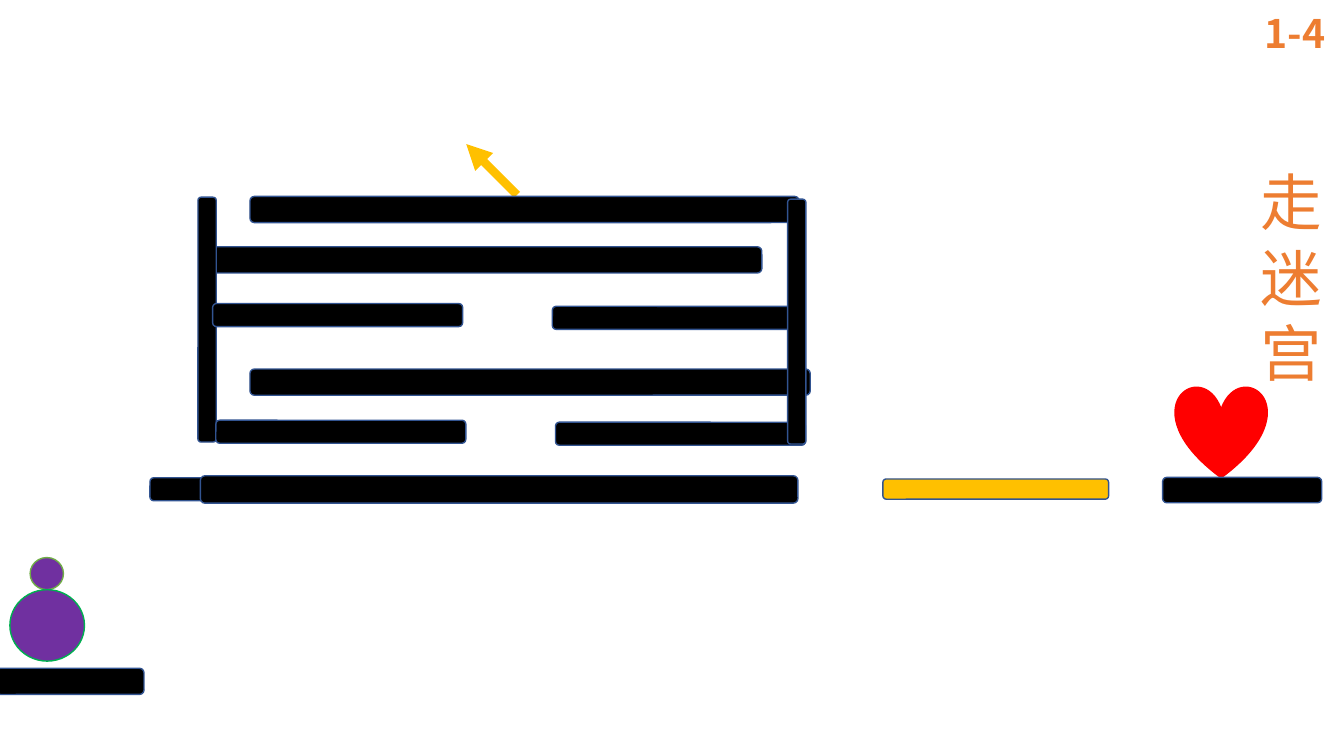
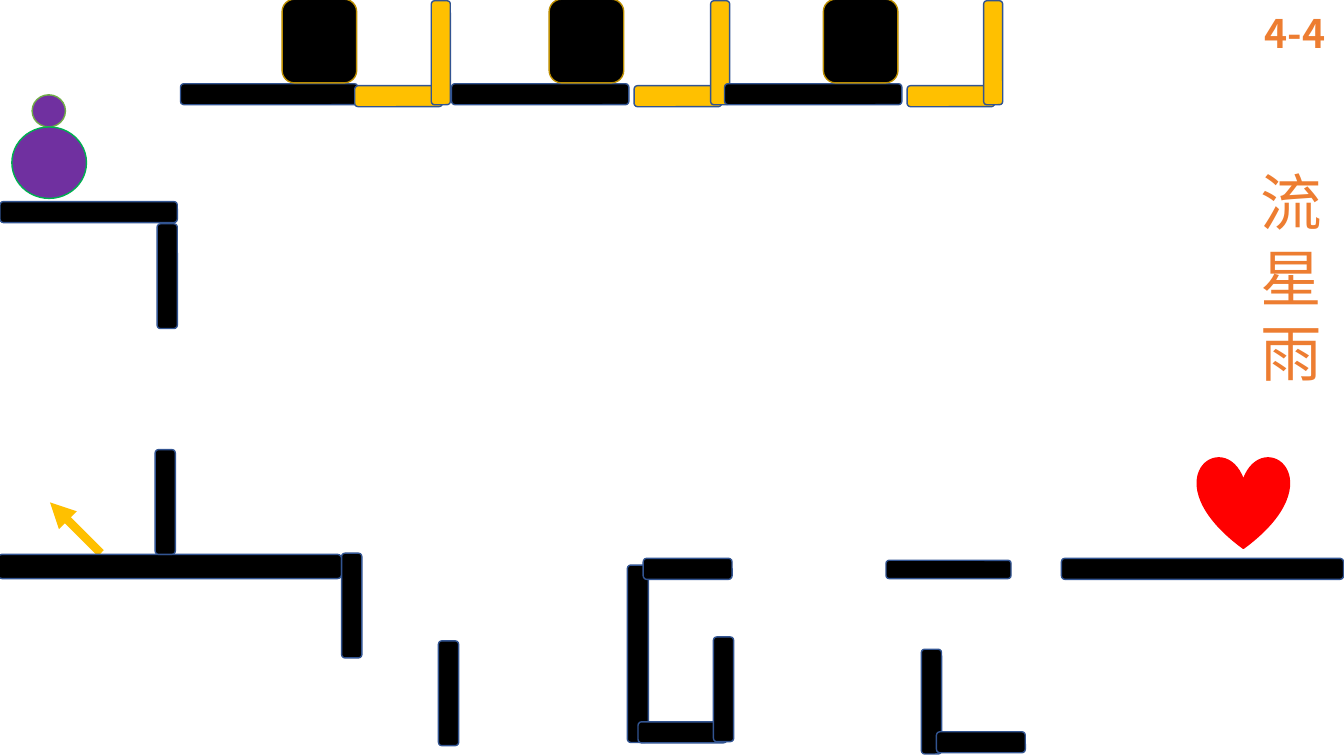
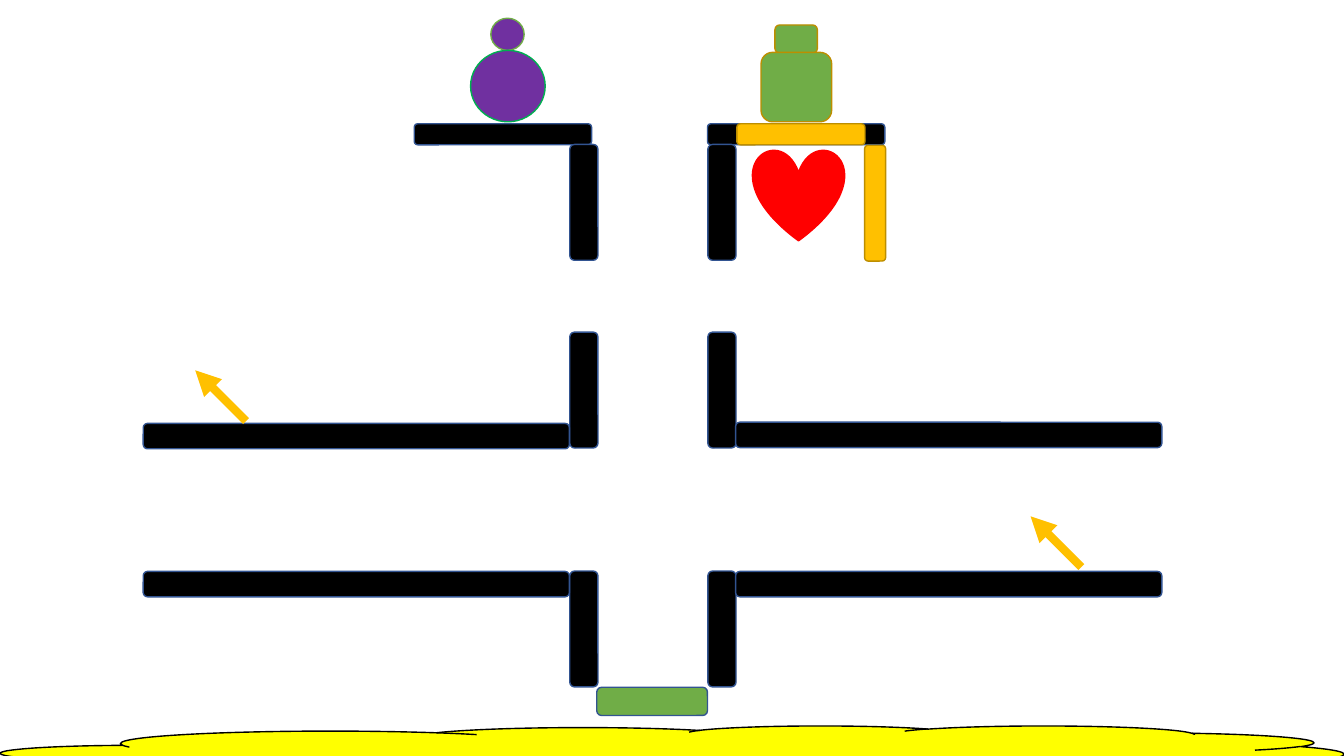
from lxml.etree import SubElement
from pptx import Presentation
from pptx.dml.color import RGBColor
from pptx.enum.shapes import MSO_CONNECTOR, MSO_SHAPE as Preset
from pptx.enum.text import MSO_ANCHOR, MSO_AUTO_SIZE, PP_ALIGN
from pptx.oxml.ns import qn
from pptx.util import Cm, Pt

# Shared look
FONT = "Noto Sans CJK JP"
BLACK, NAVY, GOLD, DARK_GOLD = "000000", "325491", "FFC000", "BD8E00"
PURPLE, GREEN, EMERALD = "7030A0", "70AD47", "00B050"
RED, YELLOW, ORANGE = "FF0000", "FFFF00", "ED7D31"
TITLE_ONLY, BLANK = 5, 6
FRAME_FORMAT = {
    "word_wrap": True,
    "auto_size": MSO_AUTO_SIZE.SHAPE_TO_FIT_TEXT,
    "vertical_anchor": MSO_ANCHOR.TOP,
    "margin_left": Cm(0.25),
    "margin_right": Cm(0.25),
    "margin_top": Cm(0.22),
    "margin_bottom": Cm(0.13),
}
NAME_FORMAT = {"size": Pt(44), "bold": False}
NUMBER_FORMAT = {"size": Pt(28), "bold": True}


def paint(color_format, hex_color):
    color_format.rgb = RGBColor.from_string(hex_color)


def apply_format(target, values):
    for attribute, value in values.items():
        setattr(target, attribute, value)


# Element kinds; every box is (left, top, width, height) in cm
def draw(shapes, preset, box, fill, outline):
    piece = shapes.add_shape(preset, *map(Cm, box))
    piece.shadow.inherit = False
    piece.fill.solid()
    paint(piece.fill.fore_color, fill)
    piece.line.width = Pt(1)
    paint(piece.line.color, outline)


def bar(shapes, box, fill=BLACK, outline=NAVY):
    draw(shapes, Preset.ROUNDED_RECTANGLE, box, fill, outline)


def bars(shapes, corners, width, height):
    for left, top in corners:
        bar(shapes, (left, top, width, height))


def player(shapes, left, top):
    parts = shapes.add_group_shape().shapes
    draw(parts, Preset.OVAL, (left + 0.51, top, 0.84, 0.81), PURPLE, GREEN)
    draw(parts, Preset.OVAL, (left, top + 0.81, 1.88, 1.8), PURPLE, EMERALD)


def heart(shapes, left, top):
    draw(shapes, Preset.HEART, (left, top, 2.31, 2.31), RED, RED)


def arrow(shapes, x, y, reach=1.28):
    ends = map(Cm, (x, y, x - reach, y - reach))
    pointer = shapes.add_connector(MSO_CONNECTOR.STRAIGHT, *ends)
    pointer.line.width = Pt(6)
    paint(pointer.line.color, GOLD)
    SubElement(pointer.line._get_or_add_ln(), qn("a:tailEnd"), type="triangle")
    SubElement(pointer._element.spPr, qn("a:effectLst"))


def gate(shapes, left):
    parts = shapes.add_group_shape().shapes
    bar(parts, (left, 2.16, 2.21, 0.53), GOLD)
    bar(parts, (left + 1.93, 0.02, 0.48, 2.62), GOLD)


def write(label, text, text_format):
    frame = label.text_frame
    apply_format(frame, FRAME_FORMAT)
    frame.text = text
    line = frame.paragraphs[0]
    line.alignment = PP_ALIGN.LEFT
    line.line_spacing = Pt(round(text_format["size"].pt * 1.22, 1))
    font = line.runs[0].font
    apply_format(font, {"name": FONT, **text_format})
    paint(font.color, ORANGE)
    SubElement(line.runs[0]._r.get_or_add_rPr(), qn("a:ea"), typeface=FONT)


def level_slide(deck, number, name):
    slide = deck.slides.add_slide(deck.slide_layouts[TITLE_ONLY])
    title = slide.shapes.title
    place = map(Cm, (31.52, 3.89, 3.28, 5.89))
    apply_format(title, dict(zip(("left", "top", "width", "height"), place)))
    write(title, name, NAME_FORMAT)
    badge = slide.shapes.add_textbox(*map(Cm, (31.62, 0, 4.47, 1.45)))
    write(badge, number, NUMBER_FORMAT)
    return slide.shapes


# Levels
def maze_level(deck):
    shapes = level_slide(deck, "1-4", "走迷宫")
    player(shapes, 0.25, 14.05)
    heart(shapes, 29.62, 9.73)
    arrow(shapes, 13.03, 4.91)

    # Ground and bridge
    bar(shapes, (-0.1, 16.84, 3.73, 0.66))
    bar(shapes, (3.78, 12.04, 1.5, 0.58))
    bar(shapes, (5.05, 11.99, 15.06, 0.69))
    bar(shapes, (22.25, 12.07, 5.69, 0.51), GOLD)
    bar(shapes, (29.3, 12.03, 4.01, 0.64))

    # Maze
    bars(shapes, [(6.3, 9.3), (5.08, 6.22)], 14.12, 0.66)
    bars(shapes, [(14, 10.64)], 6.3, 0.58)
    bar(shapes, (4.99, 4.97, 0.46, 6.17))
    bars(shapes, [(5.44, 10.59), (13.92, 7.72), (5.36, 7.65)], 6.3, 0.58)
    bar(shapes, (6.3, 4.95, 13.84, 0.66))
    bar(shapes, (19.85, 5.02, 0.46, 6.17))


def meteor_level(deck):
    shapes = level_slide(deck, "4-4", "流星雨")
    player(shapes, 0.3, 2.39)
    heart(shapes, 30.18, 11.51)
    arrow(shapes, 2.54, 13.94)

    # Meteors: ledge, block and gate
    for ledge, block, tray in [(4.55, 7.11, 8.94), (11.38, 13.84, 15.98),
                               (18.26, 20.75, 22.86)]:
        bar(shapes, (ledge, 2.11, 4.47, 0.53))
        bar(shapes, (block, -0.02, 1.88, 2.11), BLACK, DARK_GOLD)
        gate(shapes, tray)

    # Ground
    bar(shapes, (0, 5.08, 4.47, 0.53))
    bar(shapes, (-0.05, 13.97, 8.66, 0.61))
    bar(shapes, (22.33, 14.12, 3.15, 0.46))
    bar(shapes, (26.75, 14.07, 7.11, 0.53))

    # Pits
    bar(shapes, (15.81, 14.24, 0.53, 4.47))
    posts = [(3.96, 5.64), (3.91, 11.33), (8.61, 13.94), (11.05, 16.15),
             (23.22, 16.36)]
    bars(shapes, posts, 0.51, 2.64)
    bars(shapes, [(16.21, 14.07), (16.08, 18.19), (23.6, 18.44)], 2.24, 0.53)
    bars(shapes, [(17.98, 16.05)], 0.51, 2.64)


def shaft_level(deck):
    shapes = deck.slides.add_slide(deck.slide_layouts[BLANK]).shapes
    player(shapes, 11.86, 0.46)
    heart(shapes, 18.97, 3.76)

    # Shaft and corridors
    bars(shapes, [(10.44, 3.12), (17.83, 3.12)], 4.47, 0.53)
    walls = [(left, top) for top in (3.64, 8.37, 14.39)
             for left in (14.36, 17.84)]
    bars(shapes, walls, 0.71, 2.92)
    floors = [(3.61, 10.67), (18.54, 10.64), (3.61, 14.4), (18.54, 14.4)]
    bars(shapes, floors, 10.74, 0.64)
    arrow(shapes, 6.2, 10.61)
    arrow(shapes, 27.25, 14.29)

    # Cage
    bar(shapes, (21.79, 3.66, 0.53, 2.92), GOLD, DARK_GOLD)
    bar(shapes, (18.57, 3.12, 3.23, 0.53), GOLD, DARK_GOLD)

    # Lava and plug
    draw(shapes, Preset.CLOUD, (0.03, 18.29, 33.83, 1.47), YELLOW, BLACK)
    bar(shapes, (15.04, 17.32, 2.79, 0.71), GREEN)

    # Guard
    guard = shapes.add_group_shape().shapes
    bar(guard, (19.53, 0.63, 1.07, 0.71), GREEN, DARK_GOLD)
    bar(guard, (19.18, 1.32, 1.78, 1.75), GREEN, DARK_GOLD)


def main():
    deck = Presentation()
    deck.slide_width, deck.slide_height = Cm(33.87), Cm(19.05)
    for build_level in (maze_level, meteor_level, shaft_level):
        build_level(deck)
    deck.save("out.pptx")


if __name__ == "__main__":
    main()
